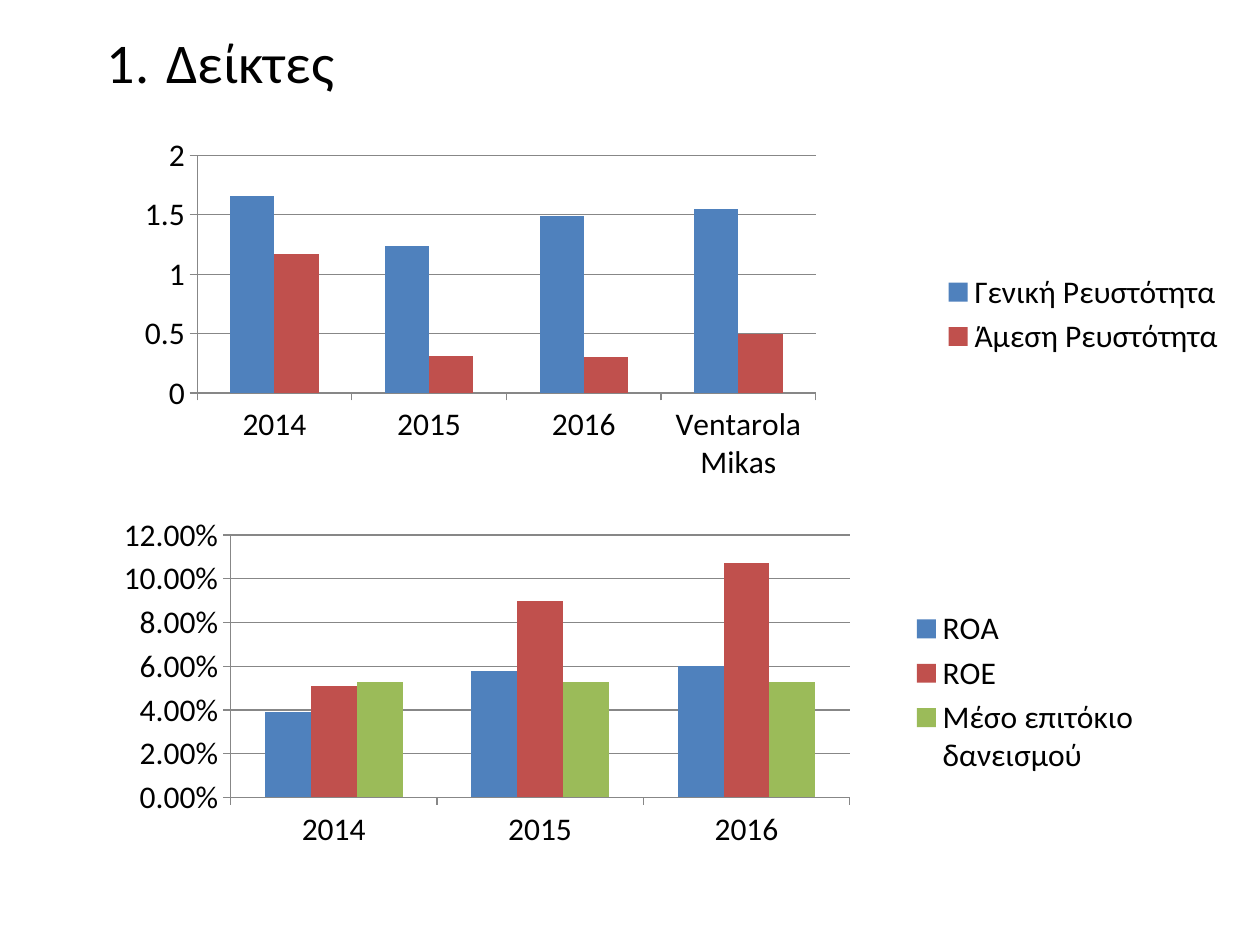
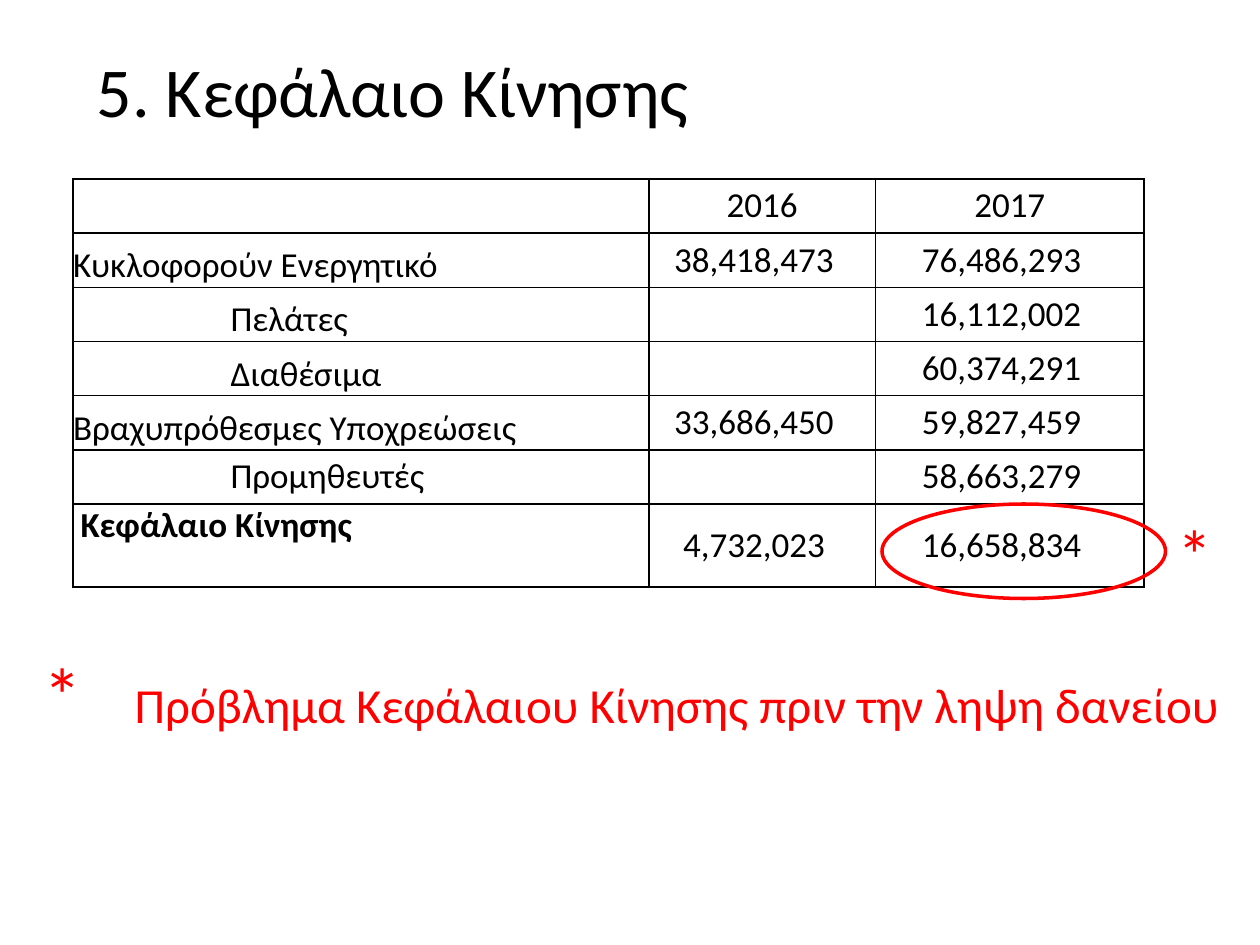
"""Build two slides on financial ratios and working capital."""
from dataclasses import dataclass
from typing import Any

from lxml import etree
from pptx import Presentation
from pptx.chart.data import CategoryChartData
from pptx.dml.color import RGBColor
from pptx.enum.chart import XL_CHART_TYPE, XL_LEGEND_POSITION, XL_TICK_MARK
from pptx.enum.shapes import MSO_SHAPE
from pptx.enum.text import MSO_ANCHOR, MSO_AUTO_SIZE, PP_ALIGN
from pptx.oxml import parse_xml
from pptx.oxml.ns import nsdecls, qn
from pptx.util import Inches, Pt

COLUMNS = XL_CHART_TYPE.COLUMN_CLUSTERED
LEGEND_RIGHT = XL_LEGEND_POSITION.RIGHT
TICK_OUTSIDE = XL_TICK_MARK.OUTSIDE
ELLIPSE = MSO_SHAPE.OVAL
TOP, MIDDLE, BOTTOM = MSO_ANCHOR.TOP, MSO_ANCHOR.MIDDLE, MSO_ANCHOR.BOTTOM
GROW = MSO_AUTO_SIZE.SHAPE_TO_FIT_TEXT
LEFT, CENTER = PP_ALIGN.LEFT, PP_ALIGN.CENTER
FONT = "Calibri"
COLORS = {
    "text": "000000",
    "alert": "FF0000",
    "grid": "878787",
    "blue": "4F81BD",
    "red": "C0504D",
    "green": "9BBB59",
}
SERIES_COLORS = ("blue", "red", "green")


@dataclass(frozen=True)
class Box:
    """Place and size in inches."""

    left: float
    top: float
    width: float
    height: float

    def lengths(self) -> tuple[Any, ...]:
        """Return the four values as lengths."""
        return tuple(map(Inches, (self.left, self.top, self.width, self.height)))


@dataclass(frozen=True)
class RatioChart:
    """One clustered column chart."""

    box: Box
    plot: tuple[float, float, float, float]
    categories: tuple[str, ...]
    series: dict[str, tuple[float, ...]]
    step: float
    maximum: float
    number_format: str


@dataclass(frozen=True)
class BalanceRow:
    """One line of the working capital table."""

    label: str
    values: tuple[str, str]
    indent: float = 0
    anchor: MSO_ANCHOR = BOTTOM
    bold: bool = False
    height: float = 0.43


RATIO_CHARTS = (
    RatioChart(
        Box(1, 1.08, 8.83, 2.83),
        (0.064, 0.054, 0.556, 0.667),
        ("2014", "2015", "2016", "Ventarola Mikas"),
        {
            "Γενική Ρευστότητα": (1.66, 1.24, 1.49, 1.55),
            "Άμεση Ρευστότητα": (1.17, 0.31, 0.3, 0.5),
        },
        0.5, 2, "General",
    ),
    RatioChart(
        Box(0.83, 4.08, 8.33, 2.83),
        (0.12, 0.059, 0.59, 0.736),
        ("2014", "2015", "2016"),
        {
            "ROA": (0.039, 0.058, 0.06),
            "ROE": (0.051, 0.09, 0.107),
            "Μέσο επιτόκιο δανεισμού": (0.053, 0.053, 0.053),
        },
        0.02, 0.12, "0.00%",
    ),
)
COLUMN_WIDTHS = (4.57, 1.8, 2.13)
BALANCE_ROWS = (
    BalanceRow("", ("2016", "2017")),
    BalanceRow("Κυκλοφορούν Ενεργητικό", ("38,418,473", "76,486,293")),
    BalanceRow("Πελάτες", ("", "16,112,002"), indent=1.25),
    BalanceRow("Διαθέσιμα", ("", "60,374,291"), indent=1.25),
    BalanceRow("Βραχυπρόθεσμες Υποχρεώσεις", ("33,686,450", "59,827,459")),
    BalanceRow("Προμηθευτές", ("", "58,663,279"), indent=1.25, anchor=MIDDLE),
    BalanceRow("Κεφάλαιο Κίνησης", ("4,732,023", "16,658,834"),
               indent=0.06, anchor=TOP, bold=True, height=0.66),
)


def rgb(name: str) -> RGBColor:
    """Look up a named colour."""
    return RGBColor.from_string(COLORS[name])


def style_font(font: Any, size: float, color: str = "text") -> None:
    """Apply the deck font at a size and colour."""
    font.name = FONT
    font.size = Pt(size)
    font.color.rgb = rgb(color)


def add_text(slide: Any, box: Box, text: str, size: float, color: str = "text") -> Any:
    """Add a wrapped text box and return its paragraph."""
    frame = slide.shapes.add_textbox(*box.lengths()).text_frame
    frame.word_wrap = True
    frame.auto_size = GROW
    paragraph = frame.paragraphs[0]
    paragraph.text = text
    style_font(paragraph.font, size, color)
    return paragraph


def hang(paragraph: Any, inches: float) -> Any:
    """Give a paragraph a hanging indent and return its properties."""
    properties = paragraph._p.get_or_add_pPr()
    properties.set("marL", str(Inches(inches)))
    properties.set("indent", str(-Inches(inches)))
    return properties


def place_plot(chart: Any, plot: tuple[float, float, float, float]) -> None:
    """Fix the inner plot area as fractions of the chart."""
    area = chart._chartSpace.find(".//" + qn("c:plotArea"))
    for layout in area.findall(qn("c:layout")):
        area.remove(layout)
    modes = '<c:layoutTarget val="inner"/><c:xMode val="edge"/><c:yMode val="edge"/>'
    sizes = "".join(f'<c:{key} val="{value}"/>' for key, value in zip("xywh", plot))
    area.insert(0, parse_xml(
        f'<c:layout {nsdecls("c")}><c:manualLayout>{modes}{sizes}'
        "</c:manualLayout></c:layout>"))


def add_ratio_chart(slide: Any, ratio: RatioChart) -> None:
    """Draw one ratio chart."""
    data = CategoryChartData(number_format=ratio.number_format)
    data.categories = ratio.categories
    for name, values in ratio.series.items():
        data.add_series(name, values)
    chart = slide.shapes.add_chart(COLUMNS, *ratio.box.lengths(), data).chart
    style_font(chart.font, 18)
    chart.has_title = False
    chart.has_legend = True
    chart.legend.position = LEGEND_RIGHT
    chart.legend.include_in_layout = False
    place_plot(chart, ratio.plot)
    columns = chart.plots[0]
    columns.gap_width = 150
    columns.vary_by_categories = False
    for series, color in zip(columns.series, SERIES_COLORS):
        series.format.fill.solid()
        series.format.fill.fore_color.rgb = rgb(color)
    scale = chart.value_axis
    scale.minimum_scale, scale.maximum_scale = 0, ratio.maximum
    scale.major_unit = ratio.step
    scale.has_major_gridlines = True
    scale.tick_labels.number_format = ratio.number_format
    scale.tick_labels.number_format_is_linked = False
    for axis in (chart.category_axis, scale):
        axis.major_tick_mark = TICK_OUTSIDE
        axis.format.line.color.rgb = rgb("grid")
    scale.major_gridlines.format.line.color.rgb = rgb("grid")


def add_borders(cell: Any) -> None:
    """Draw a thin line on all four sides of a cell."""
    properties = cell._tc.get_or_add_tcPr()
    for index, side in enumerate(("lnL", "lnR", "lnT", "lnB")):
        line = etree.Element(qn(f"a:{side}"), w=str(Pt(1)))
        fill = etree.SubElement(line, qn("a:solidFill"))
        etree.SubElement(fill, qn("a:srgbClr"), val=COLORS["text"])
        properties.insert(index, line)


def fill_cell(cell: Any, text: str, align: PP_ALIGN, anchor: MSO_ANCHOR,
              left: float = 0, right: float = 0, bold: bool = False) -> None:
    """Write and style one table cell."""
    cell.margin_left, cell.margin_right = Inches(left), Inches(right)
    cell.margin_top = cell.margin_bottom = 0
    cell.vertical_anchor = anchor
    cell.fill.background()
    add_borders(cell)
    paragraph = cell.text_frame.paragraphs[0]
    paragraph.text = text
    paragraph.alignment = align
    style_font(paragraph.font, 20)
    paragraph.font.bold = bold


def add_balance_table(slide: Any) -> None:
    """Draw the working capital table."""
    height = sum(row.height for row in BALANCE_ROWS)
    box = Box(0.58, 1.42, sum(COLUMN_WIDTHS), height)
    table = slide.shapes.add_table(
        len(BALANCE_ROWS), len(COLUMN_WIDTHS), *box.lengths()).table
    table.first_row = table.horz_banding = False
    for column, width in zip(table.columns, COLUMN_WIDTHS):
        column.width = Inches(width)
    for index, row in enumerate(BALANCE_ROWS):
        table.rows[index].height = Inches(row.height)
        fill_cell(table.cell(index, 0), row.label, LEFT, row.anchor,
                  left=row.indent, bold=row.bold)
        for column, value in enumerate(row.values, start=1):
            fill_cell(table.cell(index, column), value, CENTER, MIDDLE,
                      right=0.13 if index else 0)


def build_ratios(slide: Any) -> None:
    """Build the ratios slide."""
    for ratio in RATIO_CHARTS:
        add_ratio_chart(slide, ratio)
    title = add_text(slide, Box(0.75, 0.17, 3.33, 0.64), "Δείκτες", 32)
    etree.SubElement(hang(title, 0.47), qn("a:buAutoNum"), type="arabicPeriod")


def build_working_capital(slide: Any) -> None:
    """Build the working capital slide."""
    add_text(slide, Box(0.67, 0.33, 7.58, 0.77), "5. Κεφάλαιο Κίνησης", 40)
    add_balance_table(slide)
    highlight = slide.shapes.add_shape(ELLIPSE, *Box(7, 4, 2.25, 0.75).lengths())
    highlight.shadow.inherit = False
    highlight.fill.background()
    highlight.line.color.rgb = rgb("alert")
    highlight.line.width = Pt(2)
    add_text(slide, Box(9.25, 4, 0.42, 0.77), "*", 40, "alert")
    footnote = add_text(slide, Box(0.25, 5.08, 9.75, 0.84), "*\t", 44, "alert")
    hang(footnote, 0.72)
    remark = footnote.add_run()
    remark.text = "Πρόβλημα Κεφάλαιου Κίνησης πριν την ληψη δανείου"
    remark.font.size = Pt(28)


def main() -> None:
    """Build and save the deck."""
    deck = Presentation()
    deck.slide_width, deck.slide_height = Inches(10), Inches(7.5)
    blank = deck.slide_layouts[6]
    for build in (build_ratios, build_working_capital):
        build(deck.slides.add_slide(blank))
    deck.save("out.pptx")


main()
